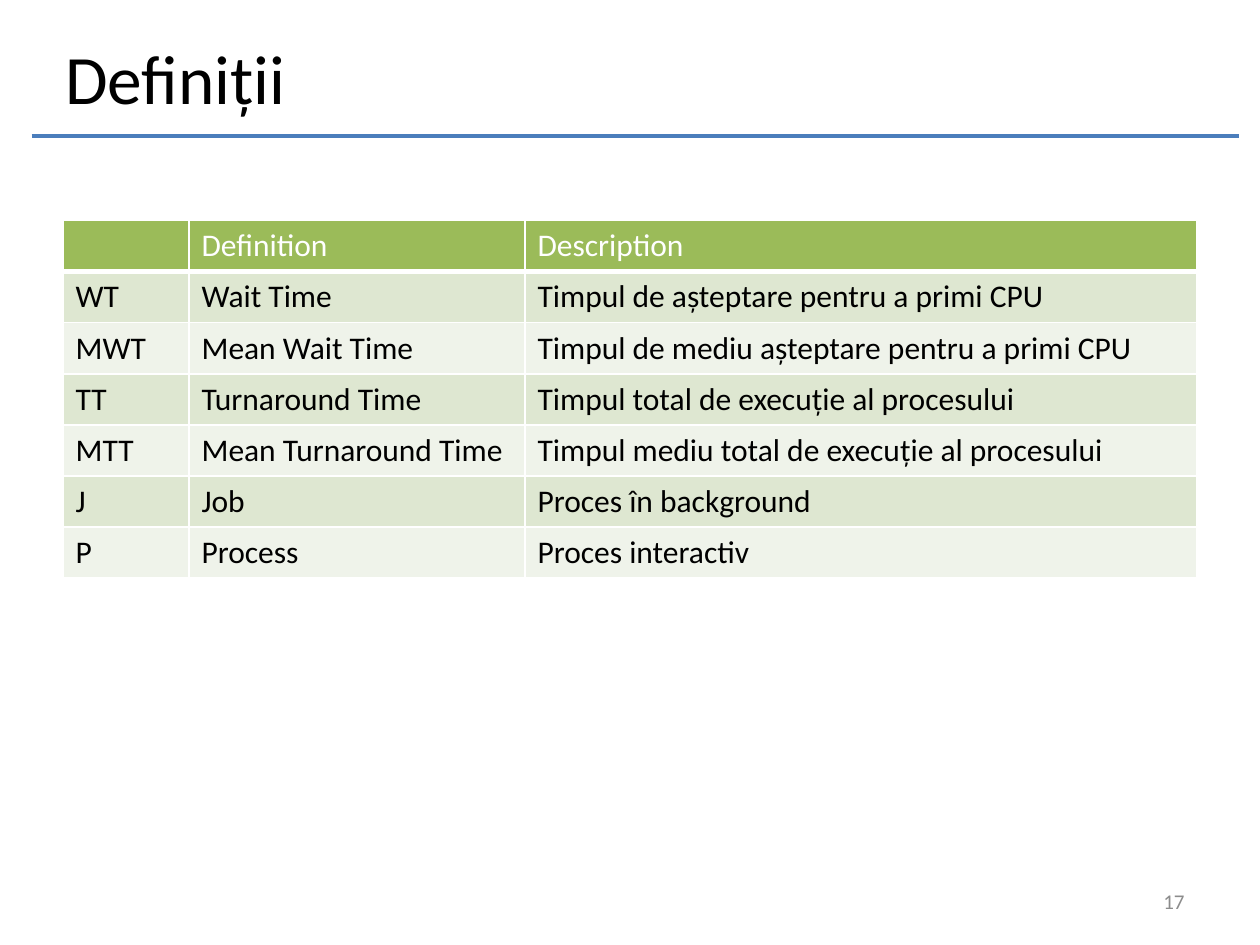
import pptx
import pptx.util
import pptx.dml.color
import pptx.enum.text
import pptx.enum.shapes
import pptx.oxml
import pptx.oxml.ns

WIDE, HIGH = 10, 7.5
FONT = "Calibri"
TERMS = [
    ("", "Definition", "Description"),
    ("WT", "Wait Time", "Timpul de așteptare pentru a primi CPU"),
    ("MWT", "Mean Wait Time", "Timpul de mediu așteptare pentru a primi CPU"),
    ("TT", "Turnaround Time", "Timpul total de execuție al procesului"),
    ("MTT", "Mean Turnaround Time", "Timpul mediu total de execuție al procesului"),
    ("J", "Job", "Proces în background"),
    ("P", "Process", "Proces interactiv"),
]


def paint(code):
    return pptx.dml.color.RGBColor.from_string(code)


def scale(box):
    return [pptx.util.Inches(part) for part in box]


def write(frame, text, size=18, color="000000", align="LEFT"):
    frame.word_wrap = True
    para = frame.paragraphs[0]
    para.alignment = getattr(pptx.enum.text.PP_ALIGN, align)
    para.font.size = pptx.util.Pt(size)
    if text:
        run = para.add_run()
        run.text = text
        run.font.name = FONT
        run.font.size = pptx.util.Pt(size)
        run.font.color.rgb = paint(color)


def label(slide, box, text, **form):
    frame = slide.shapes.add_textbox(*scale(box)).text_frame
    frame.vertical_anchor = pptx.enum.text.MSO_ANCHOR.MIDDLE
    write(frame, text, **form)


def border(cell, base):
    space = pptx.oxml.ns.nsdecls("a")
    props = cell._tc.get_or_add_tcPr()
    for spot, side in enumerate("LRTB"):
        width = pptx.util.Pt(base if side == "B" else 1)
        props.insert(spot, pptx.oxml.parse_xml(
            f'<a:ln{side} {space} w="{width}"><a:solidFill>'
            f'<a:srgbClr val="FFFFFF"/></a:solidFill></a:ln{side}>'))


def header(slide, box):
    left, top, width, height = box
    label(slide, (left + 0.17, top, width - 1.75, height * 0.8),
          "Definiții", size=39.6)
    base = top + height
    line = slide.shapes.add_connector(
        pptx.enum.shapes.MSO_CONNECTOR.STRAIGHT,
        *scale((left, base, left + width, base)))
    line.line.color.rgb = paint("4B7EBC")
    line.line.width = pptx.util.Pt(2)
    line._element.spPr.append(pptx.oxml.parse_xml(
        f'<a:effectLst {pptx.oxml.ns.nsdecls("a")}/>'))


def grid(slide, box):
    shares = (3, 8, 16)
    table = slide.shapes.add_table(
        len(TERMS), len(shares), *scale(box)).table
    for col, share in zip(table.columns, shares):
        col.width = pptx.util.Inches(box[2] * share / sum(shares))
    for row, terms in enumerate(TERMS):
        top = row == 0
        fill = "9BBB59" if top else ("EFF3EA", "DEE7D1")[row % 2]
        for col, term in enumerate(terms):
            cell = table.cell(row, col)
            cell.fill.solid()
            cell.fill.fore_color.rgb = paint(fill)
            border(cell, 3 if top else 1)
            write(cell.text_frame, term, color="FFFFFF" if top else "000000")


def footer(slide, box):
    label(slide, box, "17", size=12, color="8C8C8C", align="RIGHT")


def main():
    deck = pptx.Presentation()
    deck.slide_width, deck.slide_height = scale((WIDE, HIGH))
    slide = deck.slides.add_slide(deck.slide_layouts[6])
    edge = WIDE * 0.05
    header(slide, (edge / 2, HIGH * 0.04, 9.58, 0.78))
    grid(slide, (edge, 1.75, WIDE - 2 * edge, 2.84))
    footer(slide, (7.17, 6.95, 2.33, 0.4))
    deck.save("out.pptx")


if __name__ == "__main__":
    main()
